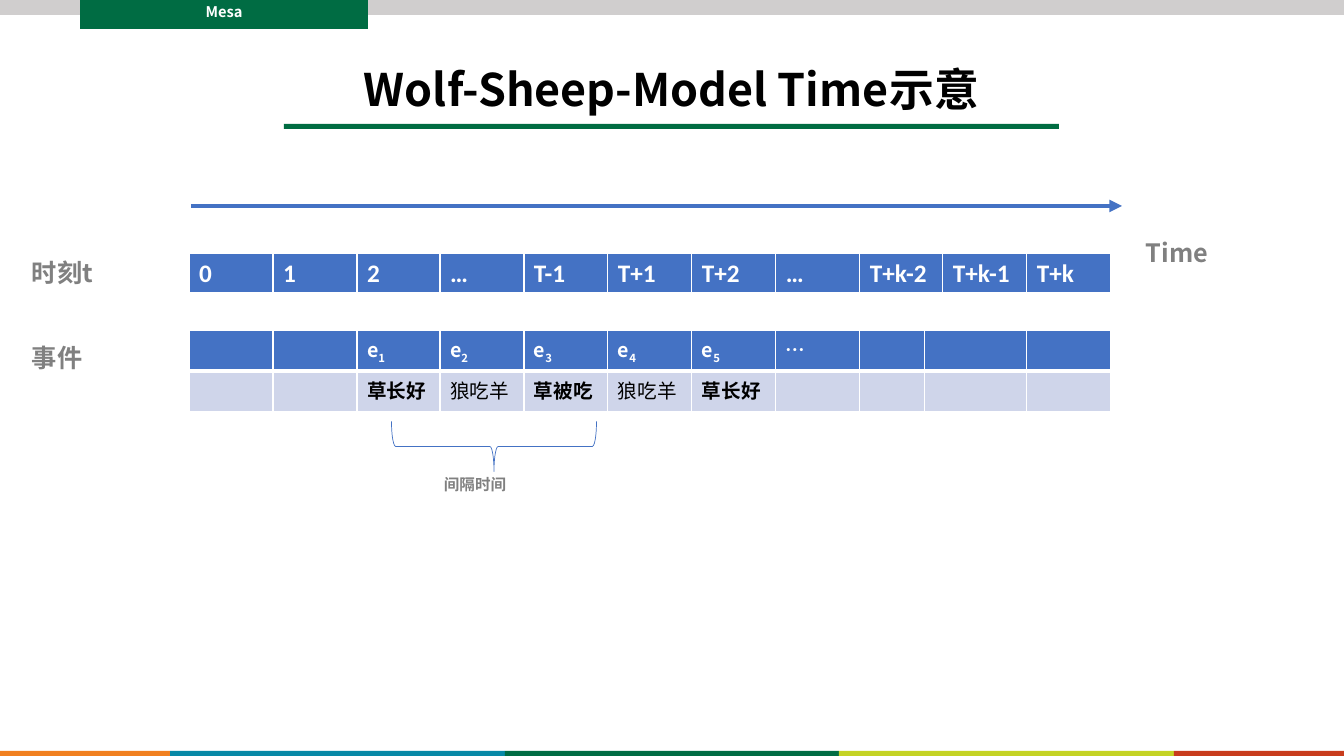
from lxml import etree
from pptx import Presentation, util as u
from pptx.dml.color import RGBColor
from pptx.enum import shapes, text
from pptx.oxml.ns import qn

PX = 914400 / 100.8
SANS = "Noto Sans CJK SC"
GREEN, BLUE, PALE, GRAY = "006C43", "4472C4", "CFD5EA", "808080"
WHITE, BLACK = "FFFFFF", "000000"


def px(*lengths):
    return [u.Emu(round(length * PX)) for length in lengths]


def add_run(paragraph, words, size, color, bold=True, font=SANS, subscript=False):
    run = paragraph.add_run()
    run.text = words
    run.font.size = u.Pt(size)
    run.font.bold = bold
    run.font.name = font
    run.font.color.rgb = RGBColor.from_string(color)
    properties = run.font._element
    etree.SubElement(properties, qn("a:ea"), typeface=font)
    if subscript:
        properties.set("baseline", "-25000")


presentation = Presentation()
presentation.slide_width, presentation.slide_height = px(1344, 756)
slide = presentation.slides.add_slide(presentation.slide_layouts[6])

# Header bars, title rule and footer stripes
bars = [
    (0, 0, 1344, 15, "D0CECE"),
    (80, 0, 288, 29, GREEN),
    (284, 124, 775, 5, "006C42"),
]
footer_edges = [0, 170, 505, 839, 1174, 1344]
footer_colors = ["F1801F", "0889A6", GREEN, "C4D324", "C83C1C"]
for left, right, color in zip(footer_edges, footer_edges[1:], footer_colors):
    bars.append((left, 751, right - left, 5, color))
for *box, color in bars:
    bar = slide.shapes.add_shape(shapes.MSO_SHAPE.RECTANGLE, *px(*box))
    bar.shadow.inherit = False
    bar.fill.solid()
    bar.fill.fore_color.rgb = RGBColor.from_string(color)
    bar.line.fill.background()

# Title and labels: words, box, size, color, alignment, anchor, line spacing
LEFT, CENTER = text.PP_ALIGN.LEFT, text.PP_ALIGN.CENTER
TOP, MIDDLE = text.MSO_ANCHOR.TOP, text.MSO_ANCHOR.MIDDLE
labels = [
    ("Mesa", (80, 0, 288, 28), 10.5, WHITE, CENTER, TOP, 0.9),
    ("Wolf-Sheep-Model Time示意", (254, 42, 835, 100), 32, BLACK, CENTER, MIDDLE, 0.9),
    ("时刻t", (22, 256, 103, 37), 18, GRAY, LEFT, TOP, 0.9),
    ("Time", (1136, 236, 95, 37), 18, GRAY, LEFT, TOP, 0.9),
    ("事件", (22, 341, 79, 37), 18, GRAY, LEFT, TOP, 0.9),
    ("间隔时间", (434, 474, 120, 26), 11.1, GRAY, LEFT, TOP, 0.8),
]
for words, box, size, color, alignment, anchor, spacing in labels:
    frame = slide.shapes.add_textbox(*px(*box)).text_frame
    frame.word_wrap = True
    frame.vertical_anchor = anchor
    paragraph = frame.paragraphs[0]
    paragraph.alignment = alignment
    paragraph.line_spacing = spacing
    add_run(paragraph, words, size, color)

# Time arrow
arrow = slide.shapes.add_connector(shapes.MSO_CONNECTOR.STRAIGHT, *px(191, 206, 1122, 206))
arrow.line.color.rgb = RGBColor.from_string(BLUE)
arrow.line.width = u.Pt(3)
etree.SubElement(arrow.line._get_or_add_ln(), qn("a:tailEnd"), type="triangle")
etree.SubElement(arrow._element.spPr, qn("a:effectLst"))

# Tables of moments and events; a cell holds (words, subscript)
moments = ["0", "1", "2", "…", "T-1", "T+1", "T+2", "…", "T+k-2", "T+k-1", "T+k"]
event_marks = [("e", str(number)) for number in range(1, 6)]
events = ["草长好", "狼吃羊", "草被吃", "狼吃羊", "草长好"]
blank = ("", "")
moment_rows = [[(moment, "") for moment in moments]]
event_rows = [
    [blank] * 2 + event_marks + [("…", "")] + [blank] * 3,
    [blank] * 2 + [(event, "") for event in events] + [blank] * 4,
]
even_edges = [round(922 * column / 11) for column in range(12)]
event_edges = even_edges[:9] + [736] + even_edges[10:]
tables = [
    (253, moment_rows, even_edges, 18, "Calibri"),
    (330, event_rows, event_edges, 14, SANS),
]
for top, rows, edges, size, font in tables:
    frame = slide.shapes.add_table(len(rows), 11, *px(189, top, 922, 41 * len(rows)))
    table = frame.table
    for column, left, right in zip(table.columns, edges, edges[1:]):
        column.width = px(right - left)[0]
    for row_number, row in enumerate(rows):
        table.rows[row_number].height = px(41)[0]
        header = row_number == 0
        for column_number, (words, subscript) in enumerate(row):
            cell = table.cell(row_number, column_number)
            cell.fill.solid()
            cell.fill.fore_color.rgb = RGBColor.from_string(BLUE if header else PALE)
            paragraph = cell.text_frame.paragraphs[0]
            color = WHITE if header else BLACK
            if words:
                add_run(paragraph, words, size, color, words != "狼吃羊", font)
            if subscript:
                add_run(paragraph, subscript, size, color, subscript=True)
            # White cell borders, thick under the header
            properties = cell._tc.get_or_add_tcPr()
            for position, side in enumerate(("lnL", "lnR", "lnT", "lnB")):
                width = u.Pt(3 if header and side == "lnB" else 1)
                border = etree.Element(qn("a:" + side), w=str(width))
                fill = etree.SubElement(border, qn("a:solidFill"))
                etree.SubElement(fill, qn("a:srgbClr"), val=WHITE)
                properties.insert(position, border)

# Brace over the interval between two grass events
brace = slide.shapes.add_shape(shapes.MSO_SHAPE.RIGHT_BRACE, *px(469, 344, 50, 205))
brace.rotation = 90
brace.shadow.inherit = False
brace.fill.background()
brace.line.color.rgb = RGBColor.from_string(BLUE)
brace.line.width = u.Pt(0.5)

presentation.save("out.pptx")
